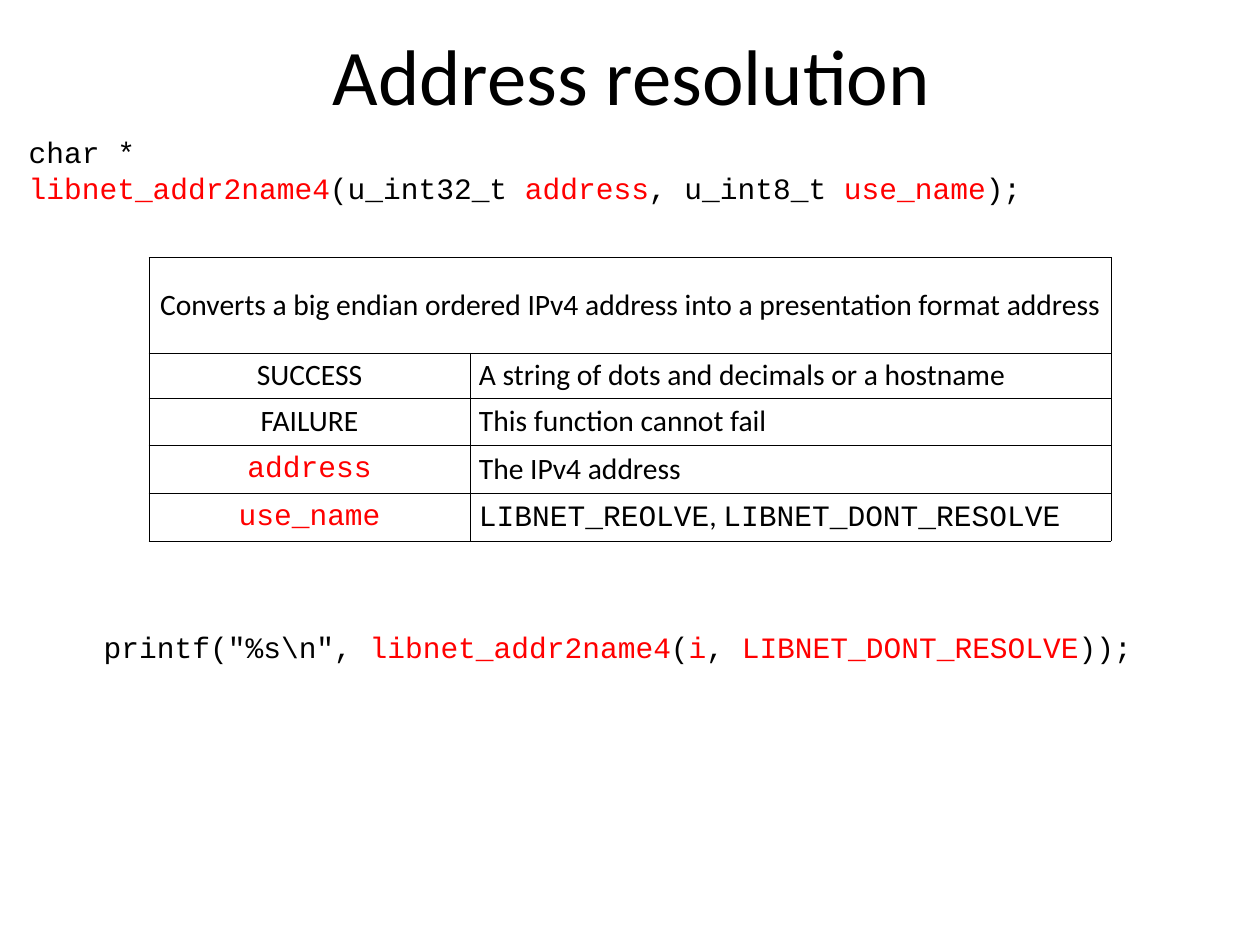
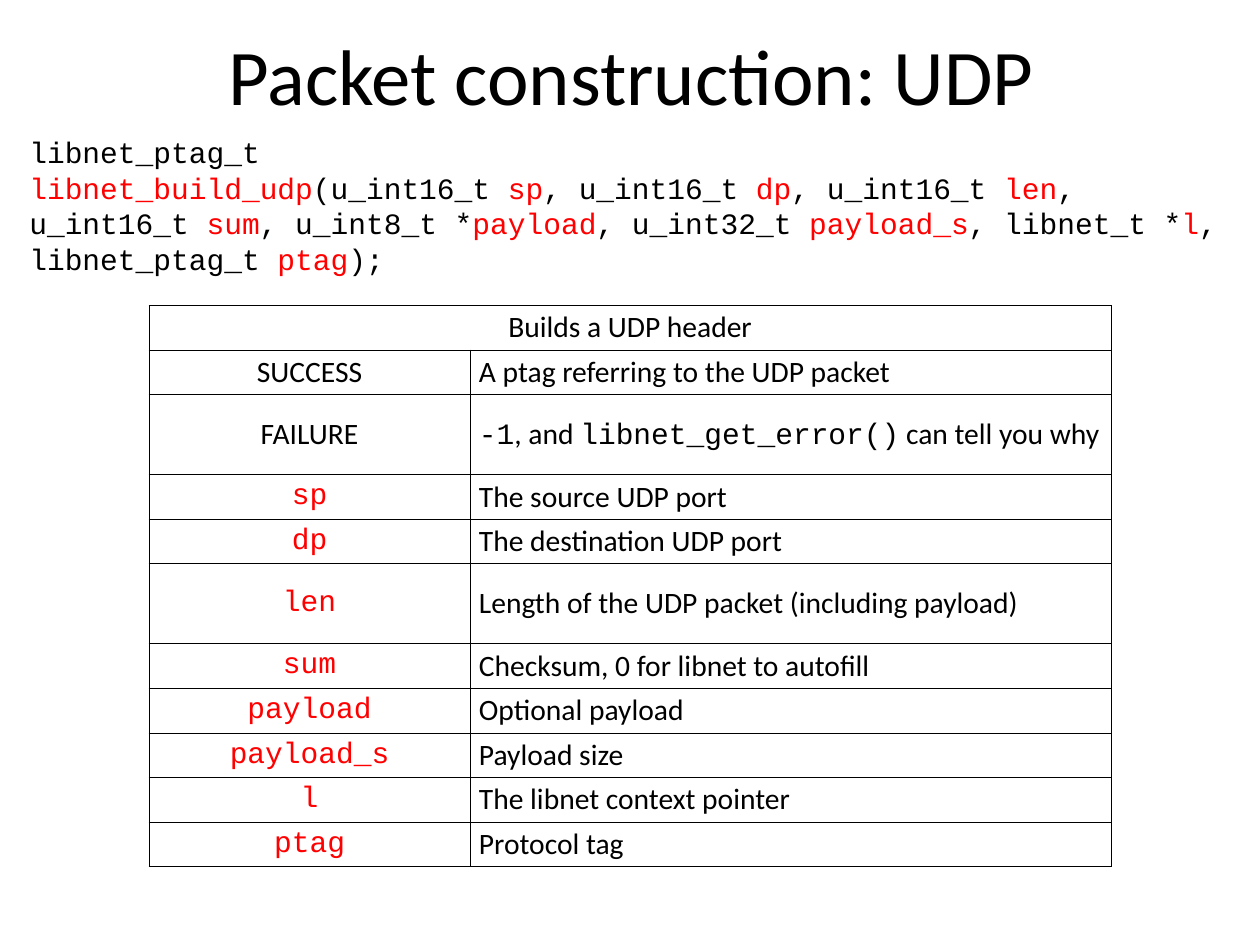
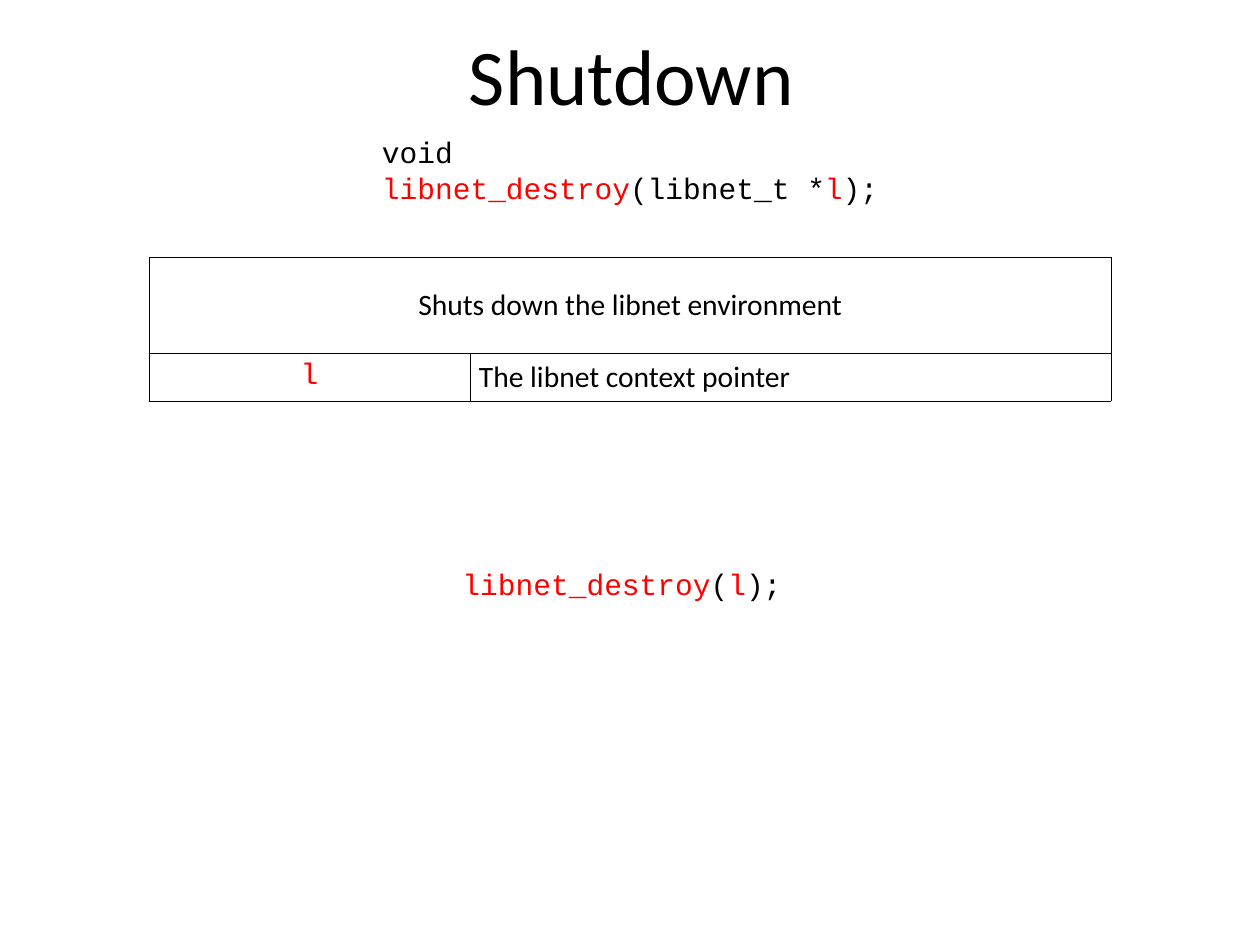
from lxml.etree import SubElement
from pptx import Presentation
from pptx.dml.color import RGBColor
from pptx.enum.text import MSO_ANCHOR, MSO_AUTO_SIZE, PP_ALIGN
from pptx.oxml.ns import qn
from pptx.util import Pt

BLACK, RED = "000000", "FF0000"
PLAIN = {"name": "Calibri", "size": Pt(24), "bold": False}
CODE = {"name": "Courier New", "size": Pt(24), "bold": False}
HEAD = {"name": "Calibri", "size": Pt(64), "bold": False}
INSETS = ("margin_left", "margin_top", "margin_right", "margin_bottom")
LINE = 29
CODE_TOP = 109
TABLE_LEFT, TABLE_TOP = 121, 209
COLUMNS = (261, 521)


def apply(item, values):
    """Set each named value on the item."""
    for key, value in values.items():
        setattr(item, key, value)


def hue(font, code):
    """Colour a font from a hex string."""
    font.color.rgb = RGBColor.from_string(code)


def add_runs(para, text, base, accent):
    """Write text, giving the parts between bars the accent style."""
    for place, part in enumerate(text.split("|")):
        if part:
            run = para.add_run()
            run.text = part
            look, tint = accent if place % 2 else base
            apply(run.font, look)
            hue(run.font, tint)


def add_page(deck, text):
    """Add a slide with the shared title style."""
    page = deck.slides.add_slide(deck.slide_layouts[5])
    title = page.shapes.title
    apply(title, {"left": Pt(100), "top": Pt(20.2),
                  "width": Pt(823.7), "height": Pt(80.6)})
    frame = title.text_frame
    apply(frame, {"auto_size": MSO_AUTO_SIZE.NONE, "word_wrap": True,
                  "vertical_anchor": MSO_ANCHOR.MIDDLE})
    apply(frame, dict(zip(INSETS, map(Pt, (9.4, 3.6, 7.2, 3.6)))))
    para = frame.paragraphs[0]
    apply(para, {"alignment": PP_ALIGN.CENTER, "space_after": Pt(2)})
    add_runs(para, text, (HEAD, BLACK), (HEAD, BLACK))
    return page


def add_code(page, left, top, width, lines, rows=None):
    """Add code text with the names between bars in red."""
    high = LINE * (rows or len(lines))
    box = page.shapes.add_textbox(Pt(left), Pt(top), Pt(width), Pt(high))
    frame = box.text_frame
    frame.word_wrap = True
    apply(frame, dict.fromkeys(INSETS, 0))
    for place, line in enumerate(lines):
        para = frame.add_paragraph() if place else frame.paragraphs[0]
        add_runs(para, line, (CODE, BLACK), (CODE, RED))


def add_edges(cell):
    """Draw a thin black border on all four sides of a cell."""
    props = cell._tc.get_or_add_tcPr()
    for side in ("a:lnL", "a:lnR", "a:lnT", "a:lnB"):
        edge = SubElement(props, qn(side), w=str(Pt(0.45)))
        fill = SubElement(edge, qn("a:solidFill"))
        SubElement(fill, qn("a:srgbClr"), val=BLACK)


def add_grid(page, top, head, rows, highs):
    """Add a table with a spanning head row above name and meaning pairs."""
    data = [(head, "")] + rows
    grid = page.shapes.add_table(
        len(data), 2, Pt(TABLE_LEFT), Pt(top),
        Pt(sum(COLUMNS)), Pt(sum(highs))).table
    apply(grid, {"first_row": False, "horz_banding": False})
    for column, width in zip(grid.columns, COLUMNS):
        column.width = Pt(width)
    for row, high, texts in zip(grid.rows, highs, data):
        row.height = Pt(high)
        for place, (cell, text) in enumerate(zip(row.cells, texts)):
            add_edges(cell)
            cell.fill.background()
            cell.vertical_anchor = MSO_ANCHOR.MIDDLE
            para = cell.text_frame.paragraphs[0]
            para.alignment = PP_ALIGN.LEFT if place else PP_ALIGN.CENTER
            tint = BLACK if place else RED
            add_runs(para, text, (PLAIN, BLACK), (CODE, tint))
    grid.cell(0, 0).merge(grid.cell(0, 1))


def add_lookup(deck):
    """Build the address resolution slide."""
    page = add_page(deck, "Address resolution")
    add_code(page, 23.3, CODE_TOP, 977, [
        "char *",
        "|libnet_addr2name4|(u_int32_t |address|, u_int8_t |use_name|);"])
    add_grid(
        page, TABLE_TOP,
        "Converts a big endian ordered IPv4 address into a presentation "
        "format address",
        [("SUCCESS", "A string of dots and decimals or a hostname"),
         ("FAILURE", "This function cannot fail"),
         ("|address|", "The IPv4 address"),
         ("|use_name|", "|LIBNET_REOLVE|, |LIBNET_DONT_RESOLVE|")],
        [77.8, 36.7, 38.2, 38.9, 38.9])
    add_code(page, 84.3, 511.2, 855, [
        'printf("%s\\n", |libnet_addr2name4|(|i|, |LIBNET_DONT_RESOLVE|));'])


def add_packet(deck):
    """Build the UDP packet slide."""
    page = add_page(deck, "Packet construction: UDP")
    add_code(page, 23.8, CODE_TOP, 976, [
        "libnet_ptag_t",
        "|libnet_build_udp|(u_int16_t |sp|, u_int16_t |dp|, u_int16_t |len|, "
        "u_int16_t |sum|, u_int8_t *|payload|, u_int32_t |payload_s|, "
        "libnet_t *|l|, libnet_ptag_t |ptag|);"], rows=4)
    low, tall = 36.2, 65
    add_grid(
        page, 248, "Builds a UDP header",
        [("SUCCESS", "A ptag referring to the UDP packet"),
         ("FAILURE", "|-1|, and |libnet_get_error()| can tell you why"),
         ("|sp|", "The source UDP port"),
         ("|dp|", "The destination UDP port"),
         ("|len|", "Length of the UDP packet (including payload)"),
         ("|sum|", "Checksum, 0 for libnet to autofill"),
         ("|payload|", "Optional payload"),
         ("|payload_s|", "Payload size"),
         ("|l|", "The libnet context pointer"),
         ("|ptag|", "Protocol tag")],
        [low, low, tall] * 2 + [low] * 5)


def add_close(deck):
    """Build the shutdown slide."""
    page = add_page(deck, "Shutdown")
    add_code(page, 310.3, CODE_TOP, 408, [
        "void", "|libnet_destroy|(libnet_t *|l|);"])
    add_grid(page, TABLE_TOP, "Shuts down the libnet environment",
             [("|l|", "The libnet context pointer")], [77.8, 38.9])
    add_code(page, 375.8, 459.4, 271.4, ["|libnet_destroy|(|l|);"])


def main():
    """Build and save the deck."""
    deck = Presentation()
    apply(deck, {"slide_width": Pt(1023.84), "slide_height": Pt(767.52)})
    for build in (add_lookup, add_packet, add_close):
        build(deck)
    deck.save("out.pptx")


if __name__ == "__main__":
    main()
